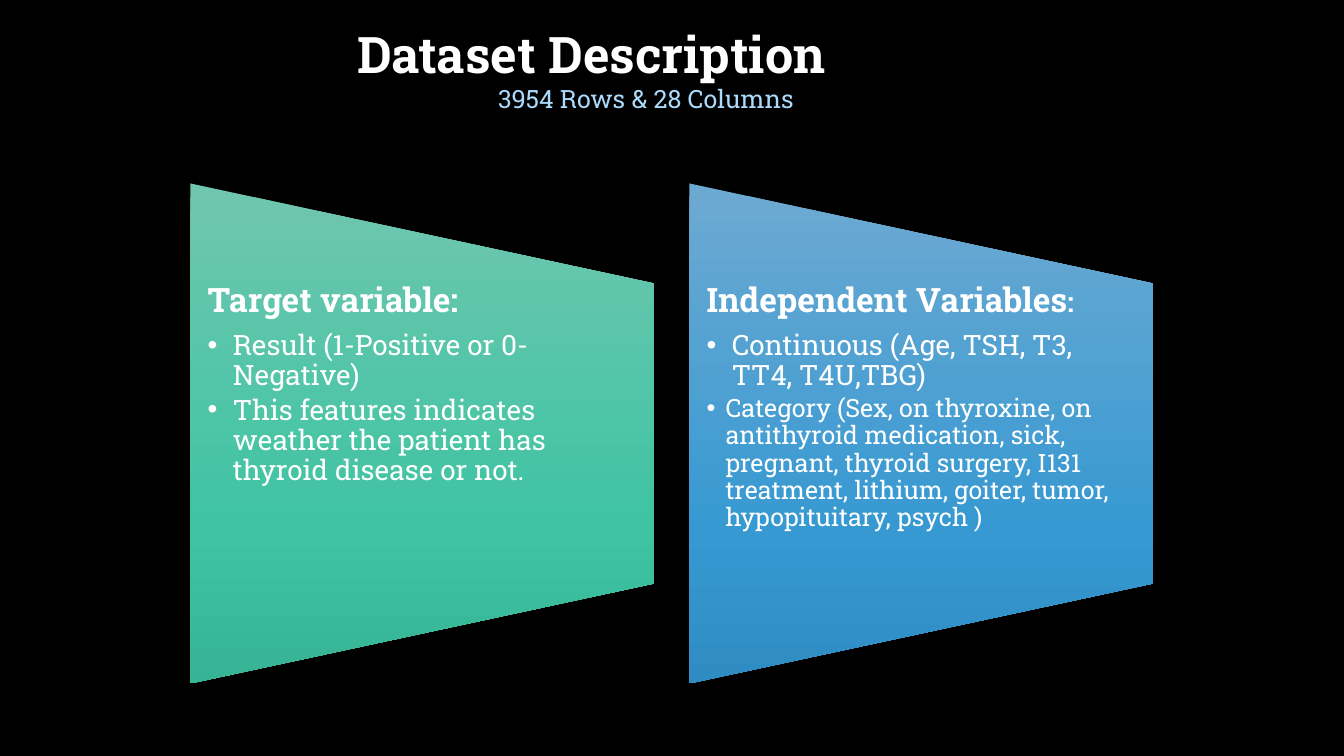
from dataclasses import dataclass

from lxml.etree import SubElement
from pptx import Presentation
from pptx.dml.color import RGBColor
from pptx.enum.shapes import MSO_SHAPE as Preset
from pptx.enum.text import MSO_ANCHOR as Anchor, MSO_AUTO_SIZE as AutoSize, PP_ALIGN as Align
from pptx.oxml import parse_xml
from pptx.oxml.ns import nsdecls, qn
from pptx.util import Pt


@dataclass(frozen=True)
class Theme:
    """Colours, type sizes and the font of the slide."""
    font: str = "Roboto Slab"
    background: str = "000000"
    text: str = "FFFFFF"
    subtitle: str = "ABDAFC"
    green: tuple = ("70C6AF", "3EC4A3", "37B395")
    blue: tuple = ("6DAAD2", "3799D2", "2F8CC2")
    stops: tuple = (0, 69, 100)
    title_size: int = 36
    heading_size: int = 24
    item_size: int = 20
    small_size: int = 18


class SlideBuilder:
    """Draws themed elements on the current slide."""

    def __init__(self, slide, theme):
        """Keep the slide and theme, and paint the background."""
        self.slide = slide
        self.theme = theme
        fill = slide.background.fill
        fill.solid()
        fill.fore_color.rgb = RGBColor.from_string(theme.background)

    def place(self, shape, left, top, width, height):
        """Move a shape to a position given in points."""
        shape.left, shape.top = Pt(left), Pt(top)
        shape.width, shape.height = Pt(width), Pt(height)

    def run(self, paragraph, text, size, bold=False, color=None):
        """Add one formatted run."""
        run = paragraph.add_run()
        run.text = text
        font = run.font
        font.name, font.size, font.bold = self.theme.font, Pt(size), bold
        font.color.rgb = RGBColor.from_string(color or self.theme.text)

    def spacing(self, paragraph, after, line=0.9):
        """Set line spacing and the gap below a paragraph."""
        paragraph.line_spacing = line
        paragraph.space_before = Pt(0)
        paragraph.space_after = Pt(after)

    def indent(self, paragraph, left, hanging, bullet=None):
        """Set the indent and the bullet of a paragraph."""
        properties = paragraph._p.get_or_add_pPr()
        properties.set("marL", str(Pt(left)))
        properties.set("indent", str(Pt(-hanging)))
        if bullet:
            SubElement(properties, qn("a:buChar")).set("char", bullet)
        else:
            SubElement(properties, qn("a:buNone"))

    def title(self, title, subtitle):
        """Fill the title placeholder with a title and an offset subtitle."""
        theme = self.theme
        shape = self.slide.shapes.title
        self.place(shape, 15, 5.76, 815, 85.68)
        frame = shape.text_frame
        frame.auto_size = AutoSize.NONE
        frame.vertical_anchor = Anchor.MIDDLE
        first, second = frame.paragraphs[0], frame.add_paragraph()
        for paragraph in (first, second):
            paragraph.alignment = Align.CENTER
            self.spacing(paragraph, 0, 1.0)
        self.run(first, title, theme.title_size, True)
        self.indent(second, 78, 0)
        self.run(second, subtitle, theme.small_size, color=theme.subtitle)

    def panel(self, body, left, colors):
        """Put a gradient panel behind a body placeholder."""
        panel = self.slide.shapes.add_shape(
            Preset.FLOWCHART_MANUAL_OPERATION, Pt(left), Pt(144), Pt(357.12), Pt(331.2))
        panel.rotation = 270
        panel.shadow.inherit = False
        panel.line.fill.background()
        stops = "".join(
            f'<a:gs pos="{stop * 1000}"><a:srgbClr val="{color}"/></a:gs>'
            for stop, color in zip(self.theme.stops, colors))
        gradient = parse_xml(
            f'<a:gradFill {nsdecls("a")} rotWithShape="0"><a:gsLst>{stops}</a:gsLst>'
            '<a:lin ang="5400000" scaled="0"/></a:gradFill>')
        panel.element.spPr.find(qn("a:prstGeom")).addnext(gradient)
        body.element.addprevious(panel.element)

    def variables(self, body, left, heading, items):
        """Fill a body placeholder with a heading and bulleted items."""
        self.place(body, left, 202.32, 331.2, 214.56)
        frame = body.text_frame
        frame.auto_size = AutoSize.NONE
        frame.word_wrap = True
        frame.vertical_anchor = Anchor.TOP
        frame.margin_left = frame.margin_right = Pt(12.24)
        frame.margin_top = frame.margin_bottom = Pt(0)
        paragraph = frame.paragraphs[0]
        self.spacing(paragraph, 0.35 * self.theme.heading_size)
        self.indent(paragraph, 0, 0)
        for text, size in heading:
            self.run(paragraph, text, size, True)
        for text, size, hanging in items:
            paragraph = frame.add_paragraph()
            self.spacing(paragraph, 0.15 * size)
            self.indent(paragraph, hanging, hanging, "•")
            self.run(paragraph, text, size)


def main():
    """Build and save the dataset slide."""
    theme = Theme()
    presentation = Presentation()
    presentation.slide_width, presentation.slide_height = Pt(960), Pt(540)
    slide = presentation.slides.add_slide(presentation.slide_layouts[3])
    builder = SlideBuilder(slide, theme)
    builder.title("Dataset Description", "3954 Rows & 28 Columns")
    columns = [
        (theme.green, [("Target variable:", theme.heading_size)], [
            ("Result (1-Positive or 0-Negative)", theme.item_size, 18),
            ("This features indicates weather the patient has thyroid disease or not.",
             theme.item_size, 18),
        ]),
        (theme.blue, [("Independent Variables", theme.heading_size), (":", theme.item_size)], [
            ("Continuous (Age, TSH, T3, TT4, T4U,TBG)", theme.item_size, 18),
            ("Category (Sex, on thyroxine, on antithyroid medication, sick, pregnant, "
             "thyroid surgery, I131 treatment, lithium, goiter, tumor, hypopituitary, psych )",
             theme.small_size, 13.5),
        ]),
    ]
    for index, (colors, heading, items) in enumerate(columns):
        body = slide.placeholders[index + 1]
        offset = index * 356.4
        builder.variables(body, 136.08 + offset, heading, items)
        builder.panel(body, 123.12 + offset, colors)
    presentation.save("out.pptx")


if __name__ == "__main__":
    main()
